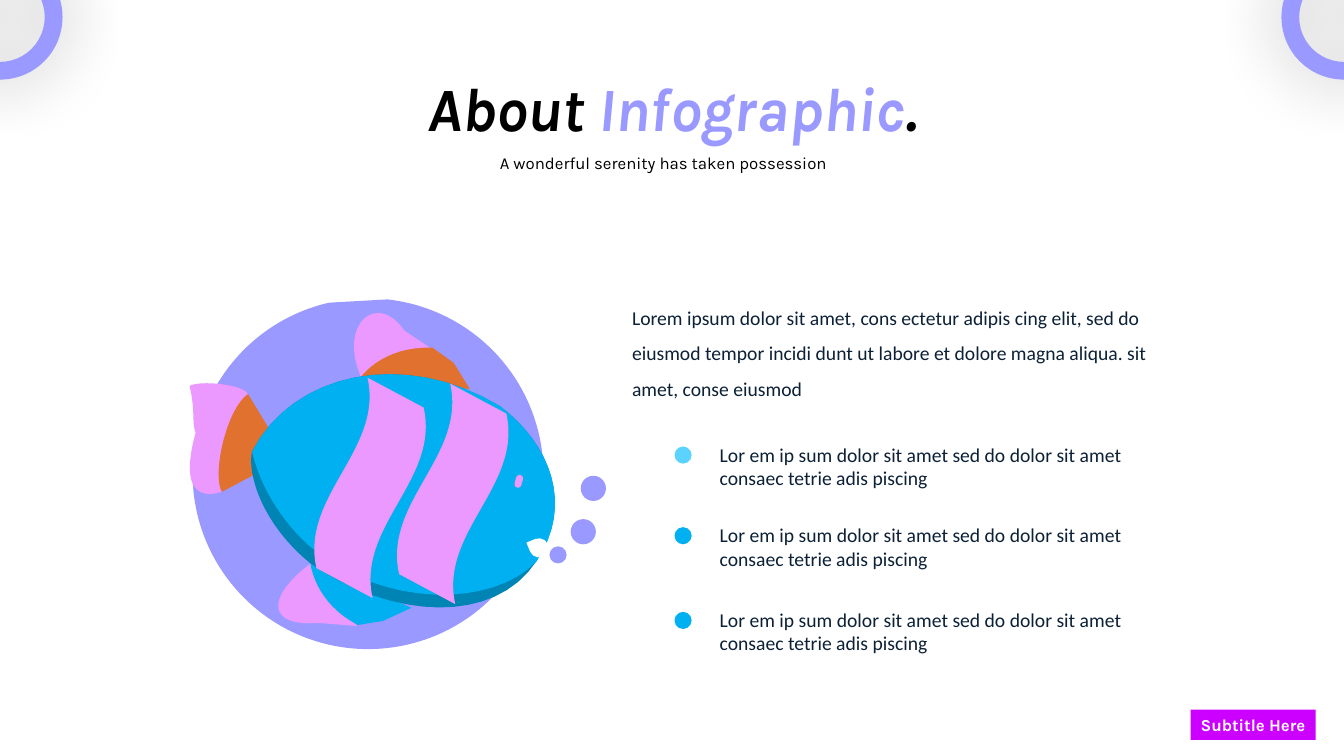
from pptx import Presentation
from pptx.dml.color import RGBColor
from pptx.enum.shapes import MSO_SHAPE as SHAPE
from pptx.enum.text import MSO_ANCHOR as ANCHOR, MSO_AUTO_SIZE as AUTO, PP_ALIGN as ALIGN
from pptx.oxml import parse_xml
from pptx.oxml.ns import nsdecls, qn
from pptx.util import Inches, Pt

LILAC, PINK, ORANGE = "9999FF", "EB99FF", "E0712F"
BLUE, DEEP_BLUE, SKY = "00B0F0", "0084B4", "5CD3FF"
INK, BLACK, WHITE, MAGENTA = "0C2036", "000000", "FFFFFF", "CC00FF"

# Each outline starts at a point; pairs are lines, sextuples are cubic curves.
BACK = [(2.5, 4.48), (2.9, 3.7, 4, 3.45, 4.96, 4.03), (5.45, 4.4, 5.7, 5, 5.32, 5.57)]
FISH = [
    (PINK, [(2.2, 4.88), (1.93, 4.96, 1.8, 4.81, 1.94, 4.29),
            (1.9, 4.19, 1.94, 4.07, 1.88, 3.83), (1.97, 3.77, 2.41, 3.81, 2.46, 3.91)]),
    (ORANGE, [(2.46, 3.91), (2.66, 4.24), (2.54, 4.7), (2.2, 4.88),
              (2.1, 4.7, 2.25, 4.05, 2.46, 3.91)]),
    (PINK, [(3.58, 3.74), (3.35, 3.22, 3.74, 2.88, 4.01, 3.28), (4.28, 3.46)]),
    (PINK, [(3.08, 5.59), (2.63, 5.93, 2.65, 6.22, 3.16, 6.18), (3.54, 6.21)]),
    (ORANGE, [(3.58, 3.74), (3.58, 3.74, 3.8, 3.43, 4.29, 3.45), (4.5, 3.6), (4.66, 3.86)]),
    (BLUE, [(3.08, 5.59), (3.08, 5.59, 3.12, 5.98, 3.55, 6.2), (3.8, 6.16), (4.08, 6.03)]),
    (DEEP_BLUE, BACK + [(4.9, 6.2, 3.9, 6.15, 3.08, 5.59), (2.6, 5.2, 2.45, 4.7, 2.5, 4.48)]),
    (BLUE, BACK + [(4.9, 6.02, 3.8, 6.05, 3.06, 5.41), (2.7, 5.08, 2.55, 4.7, 2.5, 4.48)]),
]


def rgb(color):
    return RGBColor.from_string(color)


def paint(sp, color):
    sp.shadow.inherit = False
    sp.fill.solid()
    sp.fill.fore_color.rgb = rgb(color)
    sp.line.fill.background()
    return sp


def add_preset(shapes, kind, box, color, rotation=0, adjust=()):
    sp = paint(shapes.add_shape(kind, *map(Inches, box)), color)
    sp.rotation = rotation
    for i, value in enumerate(adjust):
        sp.adjustments[i] = value
    return sp


def write(tf, *runs, size, font="Calibri", align=ALIGN.LEFT, spacing=1, bold=False, italic=False):
    """Fill a text frame with one paragraph of (text, colour) runs."""
    p = tf.paragraphs[0]
    p.alignment, p.line_spacing = align, spacing
    for text, color in runs:
        r = p.add_run()
        r.text = text
        r.font.name, r.font.size = font, Pt(size)
        r.font.bold, r.font.italic = bold, italic
        r.font.color.rgb = rgb(color)


def add_text(shapes, box, text, color, **fmt):
    tf = shapes.add_textbox(*map(Inches, box)).text_frame
    tf.word_wrap = True
    write(tf, (text, color), **fmt)


def curve_points(start, curve, steps=16):
    """Points along a cubic curve, without its start."""
    a, b, c, d = start, curve[:2], curve[2:4], curve[4:]
    for i in range(1, steps + 1):
        t = i / steps
        u = 1 - t
        yield tuple(u**3 * a[k] + 3 * u * u * t * b[k] + 3 * u * t * t * c[k] + t**3 * d[k]
                    for k in (0, 1))


def add_outline(shapes, color, outline):
    points = [outline[0]]
    for step in outline[1:]:
        points += [step] if len(step) == 2 else curve_points(points[-1], step)
    emu = [(Inches(x), Inches(y)) for x, y in points]
    builder = shapes.build_freeform(*emu[0], scale=1.0)
    builder.add_line_segments(emu[1:], close=True)
    paint(builder.convert_to_shape(), color)


def add_fish(shapes):
    add_preset(shapes, SHAPE.CHORD, (1.91, 2.96, 3.48, 3.48), LILAC, 95.2,
               (181.14 * 0.6, 162 * 0.6))
    fish = shapes.add_group_shape().shapes
    for color, outline in FISH:
        add_outline(fish, color, outline)
    for left, top in ((3.44, 4.49), (2.62, 4.43)):
        add_preset(fish, SHAPE.WAVE, (left, top, 2.1, 0.82), PINK, 105, (0.125, -0.034))
    add_preset(fish, SHAPE.ROUNDED_RECTANGLE, (5.11, 4.71, 0.07, 0.13), PINK, 15, (0.5,))
    add_preset(fish, SHAPE.TEAR, (5.25, 5.34, 0.19, 0.19), WHITE, 247.6)
    for x, y, d in ((5.45, 5.42, 0.17), (5.66, 5.15, 0.25), (5.76, 4.72, 0.25)):
        add_preset(shapes, SHAPE.OVAL, (x, y, d, d), LILAC)


def add_heading(slide, left, top, width):
    title = slide.shapes.title
    title.left, title.top, title.width, title.height = map(Inches, (left, top, width, 0.84))
    tf = title.text_frame
    tf.word_wrap, tf.auto_size, tf.vertical_anchor = True, AUTO.NONE, ANCHOR.TOP
    write(tf, ("About ", BLACK), ("Infographic", LILAC), (".", BLACK), size=44, font="Karla",
          align=ALIGN.CENTER, bold=True, italic=True)
    add_text(slide.shapes, (left + 2, top + 0.73, 4.42, 0.37),
             "A wonderful serenity has taken possession", BLACK,
             size=12, font="Karla", align=ALIGN.CENTER, spacing=1.5)


def add_description(shapes, left, top):
    add_text(shapes, (left, top, 5.51, 1.12),
             "Lorem ipsum dolor sit amet, cons ectetur adipis cing elit, sed do eiusmod tempor "
             "incidi dunt ut labore et dolore magna aliqua. sit amet, conse eiusmod",
             INK, size=14, spacing=1.5)
    for drop, color in ((1.47, SKY), (2.27, BLUE), (3.11, BLUE)):
        y = top + drop
        add_text(shapes, (left + 0.87, y, 4.8, 0.57),
                 "Lor em ip sum dolor sit amet sed do dolor sit amet consaec tetrie adis piscing",
                 INK, size=14)
        add_preset(shapes, SHAPE.OVAL, (left + 0.52, y + 0.09, 0.17, 0.17), color)


def add_badge(shapes, box):
    tf = add_preset(shapes, SHAPE.RECTANGLE, box, MAGENTA).text_frame
    tf.word_wrap = False
    write(tf, ("Subtitle Here", WHITE), size=12, font="Karla", bold=True)


def add_corner_ring(shapes, left):
    ring = add_preset(shapes, SHAPE.DONUT, (left, -0.45, 1.24, 1.24), LILAC, adjust=(0.142,))
    effects = ring.element.spPr.find(qn("a:effectLst"))
    effects.append(parse_xml(
        f'<a:outerShdw {nsdecls("a")} blurRad="{Pt(49)}" dist="0" dir="0" algn="ctr" '
        'rotWithShape="0"><a:srgbClr val="000000"><a:alpha val="33000"/></a:srgbClr>'
        '</a:outerShdw>'))


def main():
    prs = Presentation()
    prs.slide_width, prs.slide_height = Inches(13.33), Inches(7.5)
    s = prs.slides.add_slide(prs.slide_layouts[5])
    add_fish(s.shapes)
    add_description(s.shapes, 6.17, 2.87)
    add_heading(s, 2.37, 0.64, 8.6)
    add_badge(s.shapes, (11.81, 7.04, 1.24, 0.3))
    for left in (-0.62, 12.71):
        add_corner_ring(s.shapes, left)
    prs.save("out.pptx")


if __name__ == "__main__":
    main()
